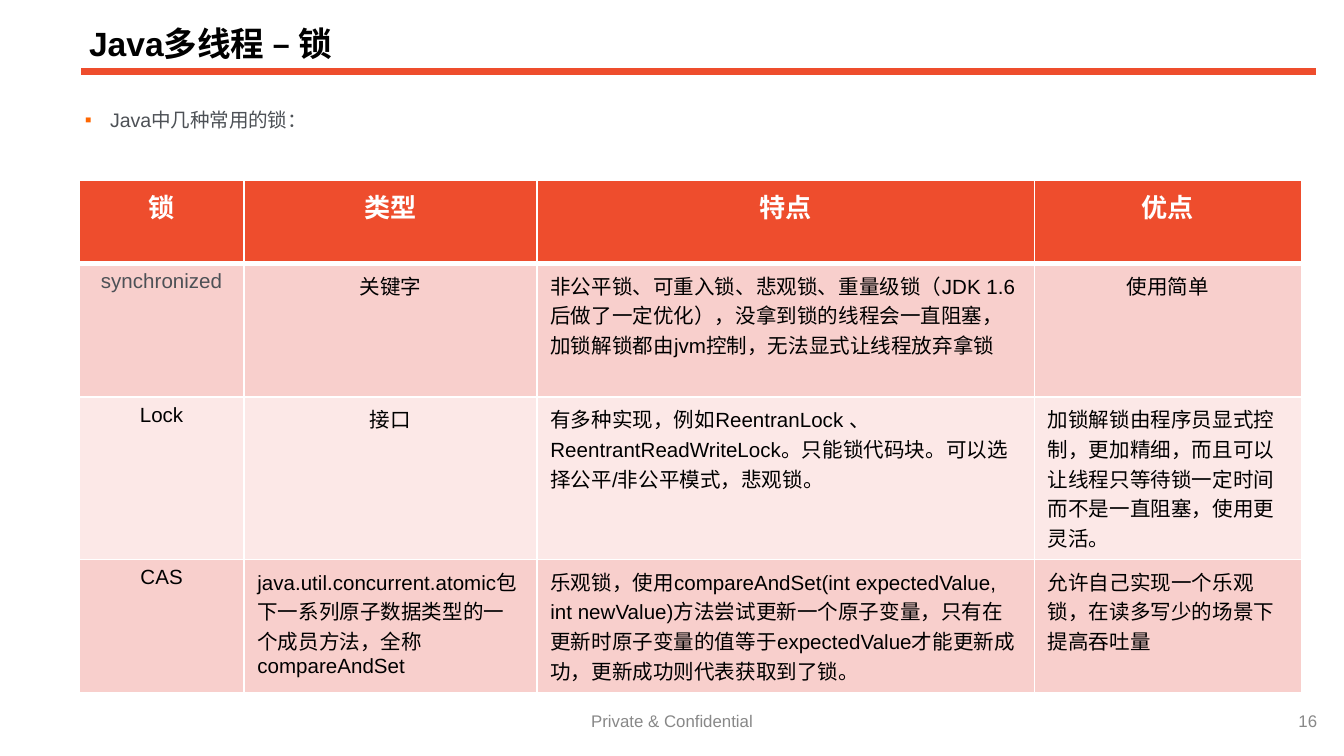
from pptx import Presentation
from pptx.dml.color import RGBColor
from pptx.enum.shapes import MSO_CONNECTOR
from pptx.enum.text import MSO_ANCHOR, PP_ALIGN
from pptx.oxml.ns import qn
from pptx.util import Pt
from lxml.etree import SubElement

RED = RGBColor(0xEE, 0x4D, 0x2D)
ORANGE = RGBColor(0xFF, 0x66, 0x00)
ROSE = RGBColor(0xF8, 0xCF, 0xCC)
PINK = RGBColor(0xFC, 0xE8, 0xE7)
BLACK = RGBColor(0, 0, 0)
SLATE = RGBColor(0x4D, 0x51, 0x56)
GREY = RGBColor(0x88, 0x88, 0x88)
WHITE = RGBColor(0xFF, 0xFF, 0xFF)

LEFT, MID, RIGHT = PP_ALIGN.LEFT, PP_ALIGN.CENTER, PP_ALIGN.RIGHT

COLS = [88.2, 157, 266.5, 143]
ROWS = [44.5, 71.5, 87, 71.5]
HEADS = ["锁", "类型", "特点", "优点"]
LOCKS = [
    ["synchronized", "关键字",
     "非公平锁、可重入锁、悲观锁、重量级锁（JDK 1.6后做了一定优化），"
     "没拿到锁的线程会一直阻塞，加锁解锁都由jvm控制，无法显式让线程放弃拿锁",
     "使用简单"],
    ["Lock", "接口",
     "有多种实现，例如ReentranLock 、ReentrantReadWriteLock。"
     "只能锁代码块。可以选择公平/非公平模式，悲观锁。",
     "加锁解锁由程序员显式控制，更加精细，而且可以让线程只等待锁一定时间"
     "而不是一直阻塞，使用更灵活。"],
    ["CAS",
     "java.util.concurrent.atomic包下一系列原子数据类型的一个成员方法，"
     "全称compareAndSet",
     "乐观锁，使用compareAndSet(int expectedValue, int newValue)方法尝试更新"
     "一个原子变量，只有在更新时原子变量的值等于expectedValue才能更新成功，"
     "更新成功则代表获取到了锁。",
     "允许自己实现一个乐观锁，在读多写少的场景下提高吞吐量"],
]


class Deck:
    font = "Arial"

    def __init__(self, wide, high):
        self.prs = Presentation()
        self.prs.slide_width, self.prs.slide_height = Pt(wide), Pt(high)
        self.slide = self.prs.slides.add_slide(self.prs.slide_layouts[6])

    def style(self, para, size, color, bold=False, align=LEFT):
        para.alignment = align
        # Keep closing punctuation inside the margin
        para._p.get_or_add_pPr().set("hangingPunct", "0")
        for run in para.runs:
            font = run.font
            font.name, font.size, font.bold = self.font, Pt(size), bold
            font.color.rgb = color

    def text(self, words, box, size, color, bold=False, align=LEFT,
             anchor=MSO_ANCHOR.MIDDLE, inset=3):
        frame = self.slide.shapes.add_textbox(*map(Pt, box)).text_frame
        frame.word_wrap = True
        frame.vertical_anchor = anchor
        frame.margin_left = frame.margin_right = Pt(inset)
        frame.margin_top = frame.margin_bottom = Pt(inset)
        frame.text = words
        para = frame.paragraphs[0]
        self.style(para, size, color, bold, align)
        return para

    def bullet(self, para, mark, color, indent):
        props = para._p.get_or_add_pPr()
        props.set("marL", str(Pt(indent)))
        props.set("indent", str(-Pt(indent)))
        tint = SubElement(props, qn("a:buClr"))
        SubElement(tint, qn("a:srgbClr"), val=str(color))
        SubElement(props, qn("a:buFont"), typeface=self.font)
        SubElement(props, qn("a:buChar"), char=mark)

    def line(self, x1, y1, x2, y2, color, width):
        rule = self.slide.shapes.add_connector(
            MSO_CONNECTOR.STRAIGHT, Pt(x1), Pt(y1), Pt(x2), Pt(y2))
        rule.line.color.rgb, rule.line.width = color, Pt(width)
        SubElement(rule._element.spPr, qn("a:effectLst"))

    def cell(self, cell, words, fill, size, color, bold, align, edges):
        cell.text = words
        self.style(cell.text_frame.paragraphs[0], size, color, bold, align)
        props = cell._tc.get_or_add_tcPr()
        for side, width in edges.items():
            edge = SubElement(props, qn("a:ln" + side), w=str(Pt(width)))
            paint = SubElement(edge, qn("a:solidFill"))
            SubElement(paint, qn("a:srgbClr"), val=str(WHITE))
        cell.fill.solid()
        cell.fill.fore_color.rgb = fill

    def table(self, left, top, cols, rows, heads, body):
        grid = self.slide.shapes.add_table(
            len(rows), len(cols), Pt(left), Pt(top),
            Pt(sum(cols)), Pt(sum(rows))).table
        for col, width in zip(grid.columns, cols):
            col.width = Pt(width)
        for row, height in zip(grid.rows, rows):
            row.height = Pt(height)
        # Header row, with a thick rule beneath
        for c, words in enumerate(heads):
            self.cell(grid.cell(0, c), words, RED, 14, WHITE, True, MID,
                      dict(L=1, R=1, T=1, B=3))
        # Body rows in bands: short entries centred, sentences to the left
        for r, line in enumerate(body, 1):
            for c, words in enumerate(line):
                self.cell(grid.cell(r, c), words, ROSE if r % 2 else PINK, 11,
                          SLATE if (r, c) == (1, 0) else BLACK, False,
                          MID if len(words) < 15 else LEFT,
                          dict(L=1, R=1, T=3 if r == 1 else 1, B=1))


def main():
    deck = Deck(720, 405)

    # Title and rule
    deck.line(43.6, 38.4, 705, 38.4, RED, 4)
    title = deck.text("Java多线程 – 锁", (43.2, 4, 634, 34.6), 18, BLACK,
                      bold=True, anchor=MSO_ANCHOR.BOTTOM, inset=4.5)
    title.line_spacing = 0.9

    # Lead line
    lead = deck.text("Java中几种常用的锁：", (42.5, 53.3, 582, 35.3), 10.5, SLATE,
                     anchor=MSO_ANCHOR.TOP)
    lead.line_spacing, lead.space_after = 1.14, Pt(5)
    deck.bullet(lead, "▪", ORANGE, 13.5)

    # Lock table
    deck.table(42.5, 96.7, COLS, ROWS, HEADS, LOCKS)

    # Footer
    deck.text("Private & Confidential", (241, 378, 238, 16.6), 9, GREY, align=MID)
    deck.text("16", (687, 378, 21.6, 16.6), 9, GREY, align=RIGHT)

    deck.prs.save("out.pptx")


if __name__ == "__main__":
    main()
